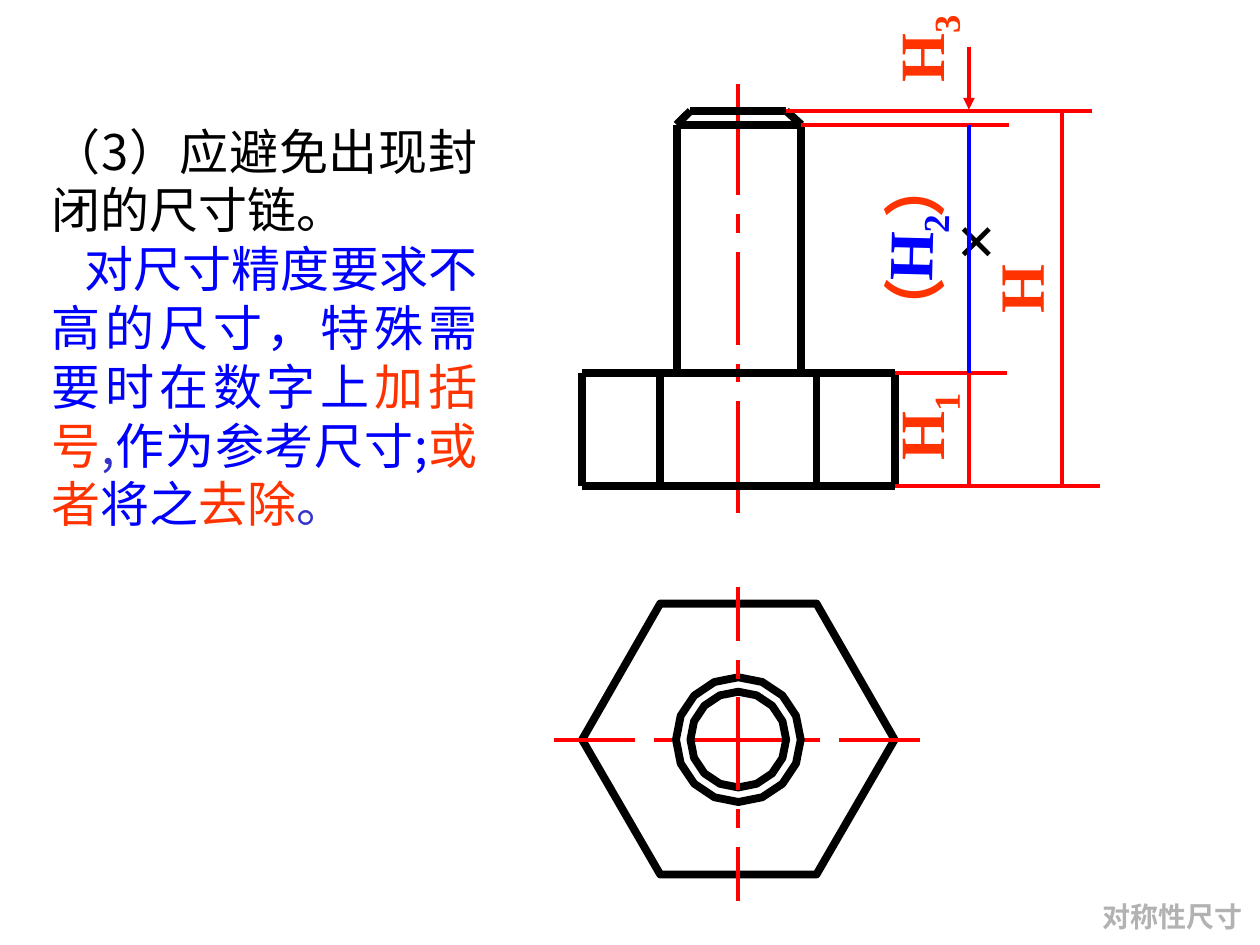
from math import cos, pi, sin

from lxml.etree import SubElement
from pptx import Presentation
from pptx.dml.color import RGBColor
from pptx.enum.shapes import MSO_CONNECTOR
from pptx.enum.text import MSO_ANCHOR as Anchor, MSO_AUTO_SIZE as AutoSize, PP_ALIGN as Align
from pptx.oxml.ns import qn
from pptx.util import Inches, Pt

BLACK = RGBColor(0x00, 0x00, 0x00)
RED = RGBColor(0xFF, 0x00, 0x00)
ORANGE = RGBColor(0xFF, 0x33, 0x00)
BLUE = RGBColor(0x00, 0x00, 0xFF)
INDIGO = RGBColor(0x33, 0x33, 0xCC)
GRAY = RGBColor(0xB2, 0xB2, 0xB2)

SERIF = "Times New Roman"
SANS = "Noto Sans CJK SC"
THICK, THIN = 4.5, 2.25

AXIS_X, PLAN_Y = 5.86, 5.87
TIP_Y, CHAMFER_Y, HEAD_Y, BASE_Y = 0.88, 0.99, 2.96, 3.86
TIP_LEFT, TIP_RIGHT = 5.48, 6.24
SHANK_LEFT, SHANK_RIGHT = 5.37, 6.36
FACE_LEFT, FACE_RIGHT = 5.24, 6.48
HEAD_LEFT, HEAD_RIGHT = 4.62, 7.1
INNER_DIMENSION_X, OUTER_DIMENSION_X = 7.69, 8.43

FRONT_AXIS = [(0.67, 1.55), (1.7, 1.85), (2, 2.74), (2.89, 3.03), (3.18, 4.07)]
PLAN_AXIS_ACROSS = [(4.4, 5.04), (5.19, 5.33), (5.48, 6.22), (6.37, 6.51), (6.66, 7.3)]
PLAN_AXIS_DOWN = [(4.66, 5.09), (5.24, 5.39), (5.53, 6.27), (6.42, 6.57), (6.72, 7.15)]


def add_line(slide, x1, y1, x2, y2, color=RED, width=THIN, arrow=False):
    line = slide.shapes.add_connector(
        MSO_CONNECTOR.STRAIGHT, Inches(x1), Inches(y1), Inches(x2), Inches(y2))
    line.line.color.rgb = color
    line.line.width = Pt(width)
    if arrow:
        SubElement(line.line._get_or_add_ln(), qn("a:tailEnd"), type="triangle")
    SubElement(line._element.spPr, qn("a:effectLst"))


def add_polygon(slide, points):
    corners = [(Inches(x), Inches(y)) for x, y in points]
    builder = slide.shapes.build_freeform(*corners[0])
    builder.add_line_segments(corners[1:], close=True)
    shape = builder.convert_to_shape()
    shape.shadow.inherit = False
    shape.fill.background()
    shape.line.color.rgb = BLACK
    shape.line.width = Pt(THICK)


def add_circle(slide, radius, sides=16):
    angles = [2 * pi * side / sides for side in range(sides)]
    add_polygon(slide, [(AXIS_X + radius * cos(angle), PLAN_Y + radius * sin(angle))
                        for angle in angles])


def add_text_box(slide, left, top, width, height, wrap=False, anchor=Anchor.MIDDLE, rotation=0):
    box = slide.shapes.add_textbox(Inches(left), Inches(top), Inches(width), Inches(height))
    box.rotation = rotation
    frame = box.text_frame
    frame.word_wrap = wrap
    frame.auto_size = AutoSize.SHAPE_TO_FIT_TEXT
    frame.vertical_anchor = anchor
    return frame


def add_run(paragraph, text, color=None, font_name=None):
    run = paragraph.add_run()
    run.text = text
    if color is not None:
        run.font.color.rgb = color
    if font_name:
        run.font.name = font_name
        SubElement(run._r.get_or_add_rPr(), qn("a:ea"), typeface=font_name)
    return run


def add_label(slide, text, bounds, color=ORANGE, size=36, subscript="", **options):
    frame = add_text_box(slide, *bounds, **options)
    paragraph = frame.paragraphs[0]
    paragraph.alignment = Align.CENTER
    paragraph.font.size = Pt(size)
    paragraph.font.bold = True
    paragraph.font.name = SERIF
    paragraph.font.color.rgb = color
    add_run(paragraph, text)
    if subscript:
        frame.margin_left = frame.margin_right = 0
        add_run(paragraph, subscript)._r.get_or_add_rPr().set("baseline", "-25000")
    return paragraph


def add_explanation(slide):
    frame = add_text_box(slide, 0.31, 0.91, 3.58, 3.37, wrap=True)
    heading, body = frame.paragraphs[0], frame.add_paragraph()
    body._p.get_or_add_pPr().set("indent", str(Inches(0.26)))
    contents = [
        (heading, [("（3）应避免出现封闭的尺寸链。", BLACK)]),
        (body, [("对尺寸精度要求不高的尺寸，特殊需要时在数字上", BLUE), ("加括号", ORANGE),
                (",", INDIGO), ("作为参考尺寸;", BLUE), ("或者", ORANGE),
                ("将之", BLUE), ("去除", ORANGE), ("。", INDIGO)]),
    ]
    for paragraph, pieces in contents:
        paragraph.alignment = Align.JUSTIFY
        paragraph.font.size = Pt(28)
        for text, color in pieces:
            add_run(paragraph, text, color, SANS)


def add_vertical_axis(slide, dashes):
    for start, end in dashes:
        add_line(slide, AXIS_X, start, AXIS_X, end)


def add_front_view(slide):
    add_vertical_axis(slide, FRONT_AXIS)
    edges = [
        (HEAD_LEFT, HEAD_Y, HEAD_RIGHT, HEAD_Y),
        (HEAD_LEFT, BASE_Y, HEAD_RIGHT, BASE_Y),
        (SHANK_LEFT, CHAMFER_Y, SHANK_RIGHT, CHAMFER_Y),
        (TIP_LEFT, TIP_Y, TIP_RIGHT, TIP_Y),
        (SHANK_LEFT, CHAMFER_Y, TIP_LEFT, TIP_Y),
        (SHANK_RIGHT, CHAMFER_Y, TIP_RIGHT, TIP_Y),
    ]
    edges += [(x, HEAD_Y, x, BASE_Y) for x in (HEAD_LEFT, FACE_LEFT, FACE_RIGHT, HEAD_RIGHT)]
    edges += [(x, CHAMFER_Y, x, HEAD_Y) for x in (SHANK_LEFT, SHANK_RIGHT)]
    for edge in edges:
        add_line(slide, *edge, color=BLACK, width=THICK)


def add_plan_view(slide):
    top, bottom = 4.79, 6.94
    add_polygon(slide, [(HEAD_RIGHT, PLAN_Y), (FACE_RIGHT, top), (FACE_LEFT, top),
                        (HEAD_LEFT, PLAN_Y), (FACE_LEFT, bottom), (FACE_RIGHT, bottom)])
    for start, end in PLAN_AXIS_ACROSS:
        add_line(slide, start, PLAN_Y, end, PLAN_Y)
    for left, right in ((SHANK_LEFT, SHANK_RIGHT), (TIP_LEFT, TIP_RIGHT)):
        add_circle(slide, (right - left) / 2)
    add_vertical_axis(slide, PLAN_AXIS_DOWN)


def add_dimensions(slide):
    add_line(slide, HEAD_RIGHT, BASE_Y, 8.73, BASE_Y)
    add_line(slide, HEAD_RIGHT, HEAD_Y, 7.99, HEAD_Y)
    add_line(slide, TIP_RIGHT, TIP_Y, 8.67, TIP_Y)
    add_line(slide, INNER_DIMENSION_X, HEAD_Y, INNER_DIMENSION_X, BASE_Y)
    add_line(slide, INNER_DIMENSION_X, 0.37, INNER_DIMENSION_X, 0.87, arrow=True)
    add_line(slide, OUTER_DIMENSION_X, TIP_Y, OUTER_DIMENSION_X, BASE_Y)
    add_label(slide, "H", (6.97, 2.99, 0.73, 0.79), subscript="1", rotation=270)
    add_label(slide, "H", (6.97, -0.01, 0.73, 0.79), subscript="3", rotation=270)
    add_label(slide, "H", (7.79, 1.94, 0.59, 0.7), rotation=270)
    add_label(slide, "×", (7.31, 1.5, 0.88, 0.77), BLACK, 40, wrap=True)

    brackets = add_label(slide, "（", (6.36, 1.62, 1.78, 0.7), wrap=True, rotation=270)
    brackets.runs[0]._r.get_or_add_rPr().set("spc", "3400")
    add_run(brackets, "）")

    add_line(slide, SHANK_RIGHT, CHAMFER_Y, 8.01, CHAMFER_Y)
    add_line(slide, INNER_DIMENSION_X, CHAMFER_Y, INNER_DIMENSION_X, HEAD_Y, BLUE)
    add_label(slide, "H", (6.88, 1.57, 0.73, 0.79), BLUE, subscript="2", rotation=271.4)


def main():
    presentation = Presentation()
    presentation.slide_width = Inches(10)
    presentation.slide_height = Inches(7.5)
    slide = presentation.slides.add_slide(presentation.slide_layouts[6])
    add_front_view(slide)
    add_plan_view(slide)
    add_dimensions(slide)
    add_explanation(slide)
    add_label(slide, "对称性尺寸", (8.65, 7.09, 1.31, 0.37), GRAY, 16, anchor=Anchor.TOP)
    presentation.save("out.pptx")


if __name__ == "__main__":
    main()
